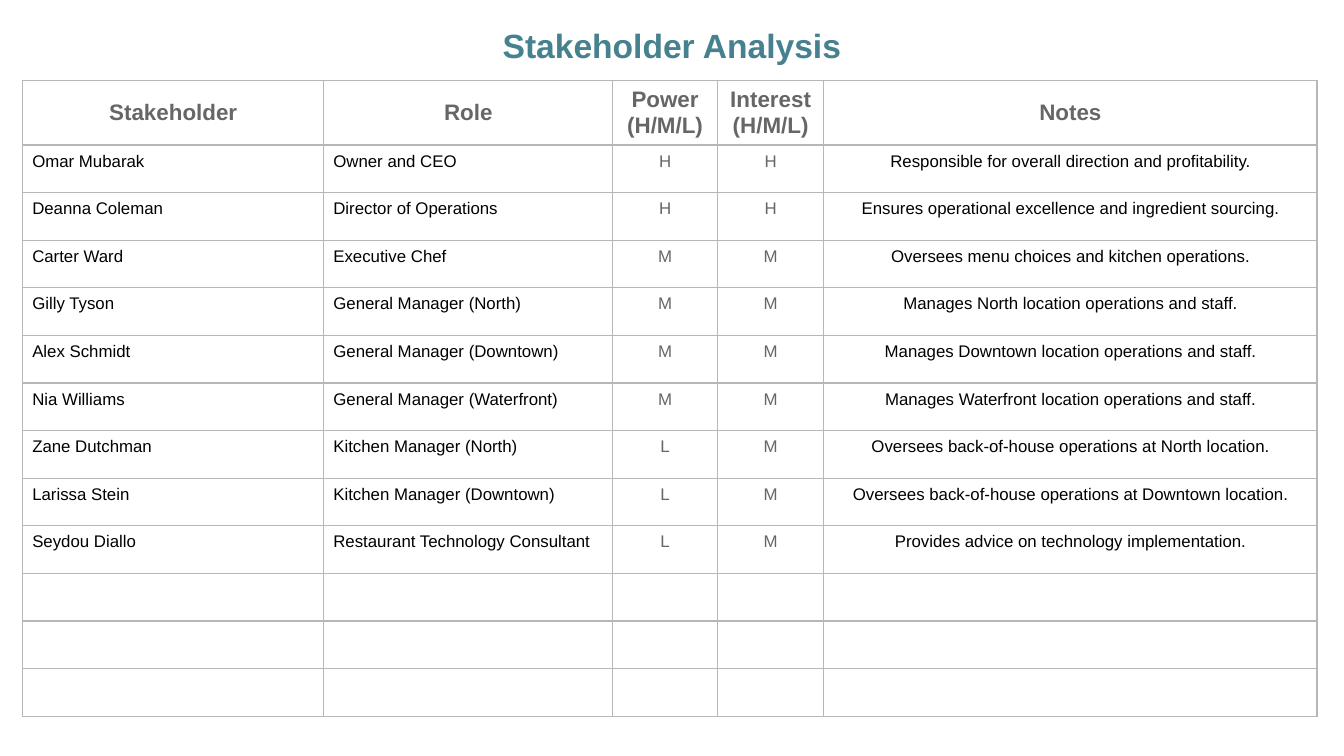
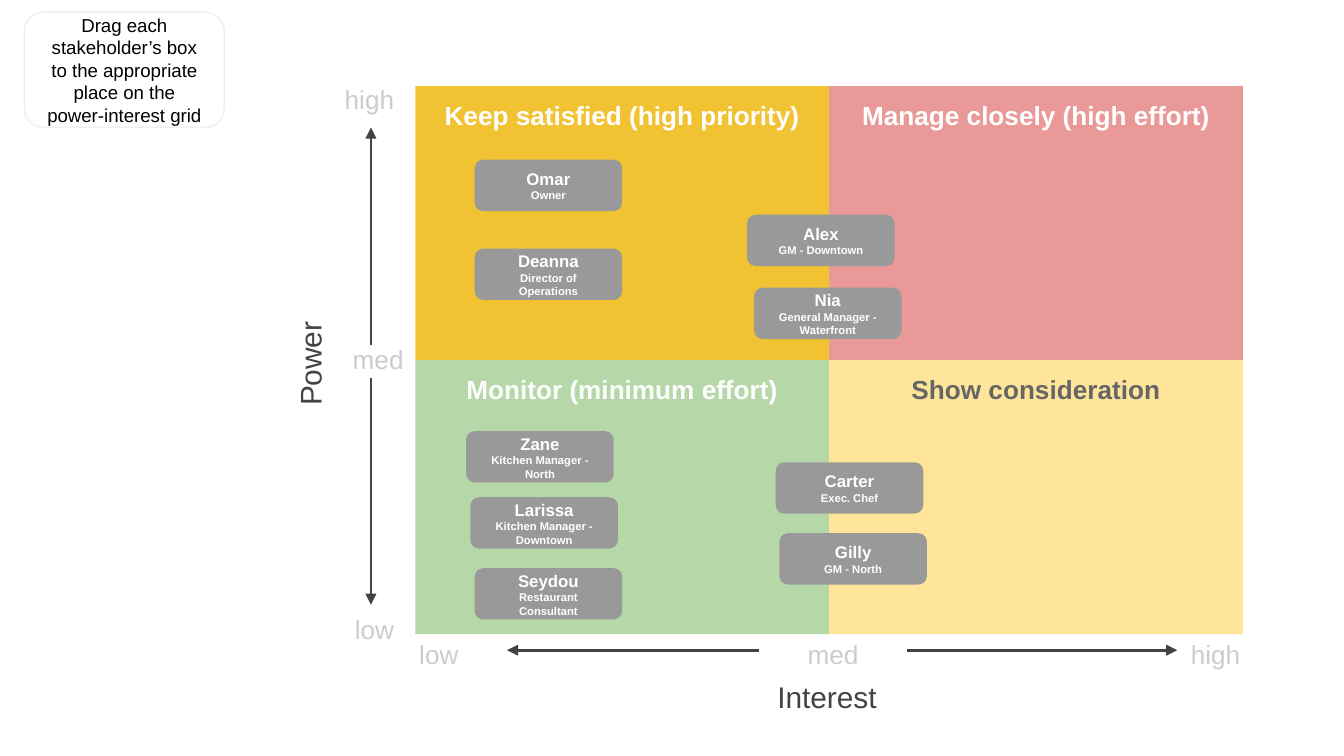
"""Build a stakeholder analysis table and a power-interest grid."""
from lxml.etree import SubElement
from pptx import Presentation
from pptx.dml.color import RGBColor
from pptx.enum.shapes import MSO_CONNECTOR, MSO_SHAPE
from pptx.enum.text import MSO_ANCHOR, PP_ALIGN
from pptx.oxml.ns import qn
from pptx.util import Cm, Pt

FONT = "Arial"
TEAL = RGBColor(0x45, 0x81, 0x8E)
BLACK = RGBColor(0x00, 0x00, 0x00)
WHITE = RGBColor(0xFF, 0xFF, 0xFF)
DARK = RGBColor(0x43, 0x43, 0x43)
GREY = RGBColor(0x66, 0x66, 0x66)
CARD_GREY = RGBColor(0x99, 0x99, 0x99)
BORDER_GREY = RGBColor(0xB7, 0xB7, 0xB7)
LABEL_GREY = RGBColor(0xCC, 0xCC, 0xCC)
PALE = RGBColor(0xEF, 0xEF, 0xEF)
AMBER = RGBColor(0xF1, 0xC2, 0x32)
PINK = RGBColor(0xEA, 0x99, 0x99)
GREEN = RGBColor(0xB6, 0xD7, 0xA8)
YELLOW = RGBColor(0xFF, 0xE5, 0x99)
LEFT, CENTER, RIGHT = PP_ALIGN.LEFT, PP_ALIGN.CENTER, PP_ALIGN.RIGHT

TITLE = "Stakeholder Analysis"
COLUMNS = [
    ("Stakeholder", 5.69, LEFT, BLACK),
    ("Role", 5.46, LEFT, BLACK),
    ("Power (H/M/L)", 1.98, CENTER, GREY),
    ("Interest (H/M/L)", 2.01, CENTER, GREY),
    ("Notes", 9.32, CENTER, BLACK),
]
STAKEHOLDERS = [
    ("Omar Mubarak", "Owner and CEO", "H", "H",
     "Responsible for overall direction and profitability."),
    ("Deanna Coleman", "Director of Operations", "H", "H",
     "Ensures operational excellence and ingredient sourcing."),
    ("Carter Ward", "Executive Chef", "M", "M",
     "Oversees menu choices and kitchen operations."),
    ("Gilly Tyson", "General Manager (North)", "M", "M",
     "Manages North location operations and staff."),
    ("Alex Schmidt", "General Manager (Downtown)", "M", "M",
     "Manages Downtown location operations and staff."),
    ("Nia Williams", "General Manager (Waterfront)", "M", "M",
     "Manages Waterfront location operations and staff."),
    ("Zane Dutchman", "Kitchen Manager (North)", "L", "M",
     "Oversees back-of-house operations at North location."),
    ("Larissa Stein", "Kitchen Manager (Downtown)", "L", "M",
     "Oversees back-of-house operations at Downtown location."),
    ("Seydou Diallo", "Restaurant Technology Consultant", "L", "M",
     "Provides advice on technology implementation."),
]
SPARE_ROWS = 3
HEADER_HEIGHT, ROW_HEIGHT = 1.22, 0.9

HINT = ("Drag each stakeholder’s box to the appropriate place "
        "on the power-interest grid")
QUADRANTS = [
    [("Keep satisfied (high priority)", AMBER, WHITE),
     ("Manage closely (high effort)", PINK, WHITE)],
    [("Monitor (minimum effort)", GREEN, WHITE),
     ("Show consideration", YELLOW, GREY)],
]
GRID_LEFT, GRID_TOP, QUADRANT_WIDTH, QUADRANT_HEIGHT = 7.85, 1.63, 7.82, 5.18
SCALE_LABELS = [
    ("high", (4.32, 1.32, 3.38, 0.66), RIGHT),
    ("med", (6.15, 6.25, 1.73, 1.12), RIGHT),
    ("low", (4.32, 11.35, 3.38, 0.66), RIGHT),
    ("low", (7.01, 11.81, 2.57, 0.97), CENTER),
    ("med", (14.35, 11.81, 2.79, 0.97), CENTER),
    ("high", (21.69, 11.81, 2.57, 0.97), CENTER),
]
POWER_X, INTEREST_Y = 7.01, 12.29
ARROWS = [
    (POWER_X, 6.53, POWER_X, 2.41),
    (POWER_X, 7.14, POWER_X, 11.43),
    (17.15, INTEREST_Y, 22.25, INTEREST_Y),
    (14.35, INTEREST_Y, 9.58, INTEREST_Y),
]
CARD_SIZE = (2.79, 0.97)
CARDS = [
    ("Omar", "Owner", 8.97, 3.02),
    ("Deanna", "Director of Operations", 8.97, 4.7),
    ("Carter", "Exec. Chef", 14.66, 8.74),
    ("Gilly", "GM - North", 14.73, 10.08),
    ("Alex", "GM - Downtown", 14.12, 4.06),
    ("Zane", "Kitchen Manager - North", 8.81, 8.15),
    ("Larissa", "Kitchen Manager - Downtown", 8.89, 9.4),
    ("Seydou", "Restaurant Consultant", 8.97, 10.74),
    ("Nia", "General Manager - Waterfront", 14.25, 5.44),
]


def style(paragraph, size, color, bold=False, align=CENTER):
    paragraph.alignment = align
    font = paragraph.font
    font.name, font.size, font.bold = FONT, Pt(size), bold
    font.color.rgb = color


def write(shape, lines, color, bold=False, align=CENTER, anchor=MSO_ANCHOR.TOP):
    frame = shape.text_frame
    frame.word_wrap = True
    frame.vertical_anchor = anchor
    frame.margin_left = frame.margin_right = Cm(0.25)
    frame.margin_top = frame.margin_bottom = Cm(0.25)
    frame.text = "\n".join(text for text, _ in lines)
    for paragraph, (_, size) in zip(frame.paragraphs, lines):
        style(paragraph, size, color, bold, align)


def add_label(slide, box, text, size, color, **options):
    label = slide.shapes.add_textbox(*map(Cm, box))
    write(label, [(text, size)], color, **options)
    return label


def add_box(slide, preset, box, lines, color, fill=None, line=None, **options):
    shape = slide.shapes.add_shape(preset, *map(Cm, box))
    shape.shadow.inherit = False
    if fill is None:
        shape.fill.background()
    else:
        shape.fill.solid()
        shape.fill.fore_color.rgb = fill
    if line is None:
        shape.line.fill.background()
    else:
        shape.line.color.rgb = line
        shape.line.width = Pt(0.75)
    write(shape, lines, color, **options)


def add_arrow(slide, ends):
    arrow = slide.shapes.add_connector(MSO_CONNECTOR.STRAIGHT, *map(Cm, ends))
    arrow.line.color.rgb = DARK
    arrow.line.width = Pt(1.5)
    SubElement(arrow.line._get_or_add_ln(), qn("a:tailEnd"), type="triangle")
    SubElement(arrow._element.spPr, qn("a:effectLst"))


def fill_cell(cell, text, size, color, bold, align, anchor):
    cell.text = text
    cell.vertical_anchor = anchor
    cell.margin_left = cell.margin_right = Cm(0.18)
    cell.margin_top = cell.margin_bottom = Cm(0.13)
    style(cell.text_frame.paragraphs[0], size, color, bold, align)
    properties = cell._tc.get_or_add_tcPr()
    for side in ("lnL", "lnR", "lnT", "lnB"):
        border = SubElement(properties, qn(f"a:{side}"), w=str(Pt(0.75)))
        solid = SubElement(border, qn("a:solidFill"))
        SubElement(solid, qn("a:srgbClr"), val=str(BORDER_GREY))
    cell.fill.background()


def build_analysis(slide):
    rows = STAKEHOLDERS + [("",) * len(COLUMNS)] * SPARE_ROWS
    width = sum(column[1] for column in COLUMNS)
    height = HEADER_HEIGHT + ROW_HEIGHT * len(rows)
    table = slide.shapes.add_table(
        len(rows) + 1, len(COLUMNS), Cm(0.43), Cm(1.52), Cm(width), Cm(height)).table
    table.first_row = table.horz_banding = False
    for row in table.rows:
        row.height = Cm(ROW_HEIGHT)
    table.rows[0].height = Cm(HEADER_HEIGHT)
    for c, (heading, column_width, align, color) in enumerate(COLUMNS):
        table.columns[c].width = Cm(column_width)
        fill_cell(table.cell(0, c), heading, 12, GREY, True, CENTER, MSO_ANCHOR.MIDDLE)
        for r, row in enumerate(rows, start=1):
            fill_cell(table.cell(r, c), row[c], 9, color, False, align, MSO_ANCHOR.TOP)
    title = add_label(slide, (2.11, 0.1, 21.18, 1.27), TITLE, 18, TEAL, bold=True)
    title.text_frame.paragraphs[0].line_spacing = 1.15


def build_grid(slide):
    for r, quadrants in enumerate(QUADRANTS):
        for c, (heading, fill, color) in enumerate(quadrants):
            box = (GRID_LEFT + c * QUADRANT_WIDTH, GRID_TOP + r * QUADRANT_HEIGHT,
                   QUADRANT_WIDTH, QUADRANT_HEIGHT)
            add_box(slide, MSO_SHAPE.RECTANGLE, box, [(heading, 14)], color, fill, bold=True)
    power = add_label(slide, (3.53, 6.43, 4.65, 0.89), "Power", 16, DARK,
                      anchor=MSO_ANCHOR.MIDDLE)
    power.rotation = 270
    add_label(slide, (13.74, 12.57, 3.78, 1.19), "Interest", 16, DARK)
    for text, box, align in SCALE_LABELS:
        add_label(slide, box, text, 14, LABEL_GREY, align=align)
    for ends in ARROWS:
        add_arrow(slide, ends)
    add_box(slide, MSO_SHAPE.ROUNDED_RECTANGLE, (0.46, 0.23, 3.78, 2.18), [(HINT, 10)],
            BLACK, line=PALE, anchor=MSO_ANCHOR.MIDDLE)
    for name, role, left, top in CARDS:
        add_box(slide, MSO_SHAPE.ROUNDED_RECTANGLE, (left, top, *CARD_SIZE),
                [(name, 9), (role, 6)], WHITE, CARD_GREY, bold=True,
                anchor=MSO_ANCHOR.MIDDLE)


def main():
    deck = Presentation()
    deck.slide_width, deck.slide_height = Cm(25.4), Cm(14.29)
    for build in (build_analysis, build_grid):
        build(deck.slides.add_slide(deck.slide_layouts[6]))
    deck.save("out.pptx")


if __name__ == "__main__":
    main()
